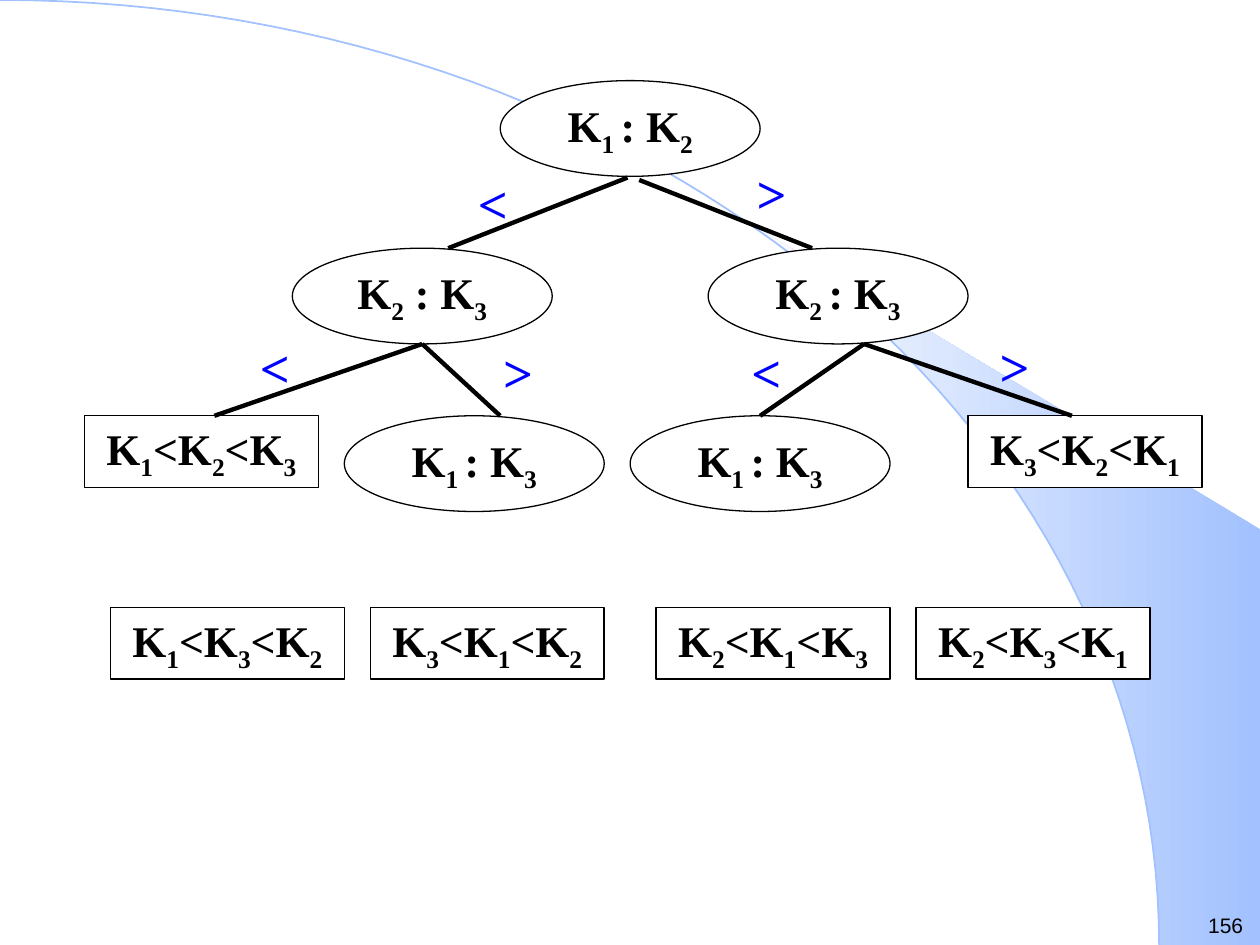
from math import asin, cos, pi, sin

from lxml.etree import SubElement
from pptx import Presentation
from pptx.dml.color import RGBColor
from pptx.enum.shapes import MSO_CONNECTOR, MSO_SHAPE
from pptx.enum.text import MSO_ANCHOR, PP_ALIGN
from pptx.oxml.ns import qn
from pptx.util import Inches, Pt

BLACK = RGBColor(0x00, 0x00, 0x00)
WHITE = RGBColor(0xFF, 0xFF, 0xFF)
BLUE = RGBColor(0x00, 0x00, 0xFF)
SKY = RGBColor(0xA2, 0xC1, 0xFE)
PALE = RGBColor(0xFE, 0xFE, 0xFE)

WIDTH, HEIGHT = Inches(10), Inches(7.5)
LEFT, TOP = Inches(0.67), Inches(0.64)
COL, ROW = Inches(3.3) / 16, Inches(0.19)
ARC_X, ARC_Y = 0.92 * WIDTH, HEIGHT

# Left column and top row on the grid, then text: every second part is a subscript
COMPARISONS = [
    (16, 0, "K|1 |: K|2"),
    (8, 7, "K|2| : K|3"),
    (24, 7, "K|2 |: K|3"),
    (10, 14, "K|1 |: K|3"),
    (21, 14, "K|1 |: K|3"),
]
ORDERINGS = [
    (0, 14, "123"), (34, 14, "321"),
    (1, 22, "132"), (11, 22, "312"), (22, 22, "213"), (32, 22, "231"),
]
BRANCHES = [
    (13, 11, 5, 14), (13, 11, 16, 14),
    (30, 11, 26, 14), (30, 11, 38, 14),
    (20.9, 4.05, 14, 7), (21.35, 4.15, 28, 7),
]
SIGNS = [
    (13.72, 3.53, "<"), (5.33, 10.37, "<"), (24.24, 10.58, "<"),
    (24.44, 3.11, ">"), (33.79, 10.32, ">"), (14.69, 10.58, ">"),
]


def grid(col, row):
    return round(LEFT + col * COL), round(TOP + row * ROW)


def arc_points(start, steps=60):
    """Points on the quarter ellipse, from angle start to the right-hand end."""
    angles = [start + (pi / 2 - start) * i / steps for i in range(steps + 1)]
    return [(ARC_X * sin(a), HEIGHT - ARC_Y * cos(a)) for a in angles]


class TreeSlide:
    font = "Times New Roman"
    node_size = 25
    sign_size = 30

    def __init__(self, prs):
        self.s = prs.slides.add_slide(prs.slide_layouts[6])

    def outline(self, points, close):
        builder = self.s.shapes.build_freeform(*points[0], scale=1.0)
        builder.add_line_segments(points[1:], close=close)
        sp = builder.convert_to_shape()
        sp.shadow.inherit = False
        return sp

    def background(self):
        arc = arc_points(asin(0.64))
        wedge = self.outline(arc + [(WIDTH, HEIGHT), (WIDTH, 0.56 * HEIGHT)], True)
        wedge.line.fill.background()
        wedge.fill.gradient()
        wedge.fill.gradient_angle = 180
        for stop, color in zip(wedge.fill.gradient_stops, (SKY, PALE)):
            stop.color.rgb = color
        for stop, position in zip(wedge.fill.gradient_stops, (0, 1)):
            stop.position = position
        curve = self.outline(arc_points(0), False)
        curve.fill.background()
        curve.line.color.rgb = SKY
        curve.line.width = Pt(1)

    def run(self, p, text, size, color=BLACK, name=font, bold=True):
        r = p.add_run()
        r.text = text
        r.font.name, r.font.size, r.font.bold = name, Pt(size), bold
        r.font.color.rgb = color
        return r

    def node(self, kind, col, row, cols, rows, text):
        sp = self.s.shapes.add_shape(
            kind, *grid(col, row), round(cols * COL), round(rows * ROW))
        sp.shadow.inherit = False
        sp.fill.solid()
        sp.fill.fore_color.rgb = WHITE
        sp.line.color.rgb = BLACK
        sp.line.width = Pt(0.75)
        tf = sp.text_frame
        tf.word_wrap = True
        tf.vertical_anchor = MSO_ANCHOR.MIDDLE
        tf.margin_left = tf.margin_right = Inches(0.02)
        tf.margin_top = tf.margin_bottom = Inches(0.01)
        p = tf.paragraphs[0]
        p.alignment = PP_ALIGN.CENTER
        for i, part in enumerate(text.split("|")):
            r = self.run(p, part, self.node_size)
            if i % 2:
                r.font._element.set("baseline", "-25000")

    def comparison(self, col, row, text):
        self.node(MSO_SHAPE.OVAL, col, row, 10, 4, text)

    def ordering(self, col, row, keys):
        text = "<".join(f"K|{key}|" for key in keys).rstrip("|")
        self.node(MSO_SHAPE.RECTANGLE, col, row, 9, 3, text)

    def branch(self, col1, row1, col2, row2):
        line = self.s.shapes.add_connector(
            MSO_CONNECTOR.STRAIGHT, *grid(col1, row1), *grid(col2, row2))
        line.line.color.rgb = BLACK
        line.line.width = Pt(2.5)
        SubElement(line._element.spPr, qn("a:effectLst"))

    def text_box(self, x, y, w, h):
        tf = self.s.shapes.add_textbox(x, y, w, h).text_frame
        tf.word_wrap = True
        return tf.paragraphs[0]

    def sign(self, col, row, text):
        p = self.text_box(*grid(col, row), round(4 * COL), Inches(0.6))
        p.alignment = PP_ALIGN.CENTER
        self.run(p, text, self.sign_size, BLUE)

    def page_number(self, text):
        p = self.text_box(Inches(9.49), Inches(7.19), Inches(0.51), Inches(0.3))
        self.run(p, text, 12, name="Arial", bold=False)


def main():
    prs = Presentation()
    prs.slide_width, prs.slide_height = WIDTH, HEIGHT
    tree = TreeSlide(prs)
    tree.background()
    tree.page_number("156")
    for item in COMPARISONS:
        tree.comparison(*item)
    for item in ORDERINGS:
        tree.ordering(*item)
    for item in BRANCHES:
        tree.branch(*item)
    for item in SIGNS:
        tree.sign(*item)
    prs.save("out.pptx")


if __name__ == "__main__":
    main()
